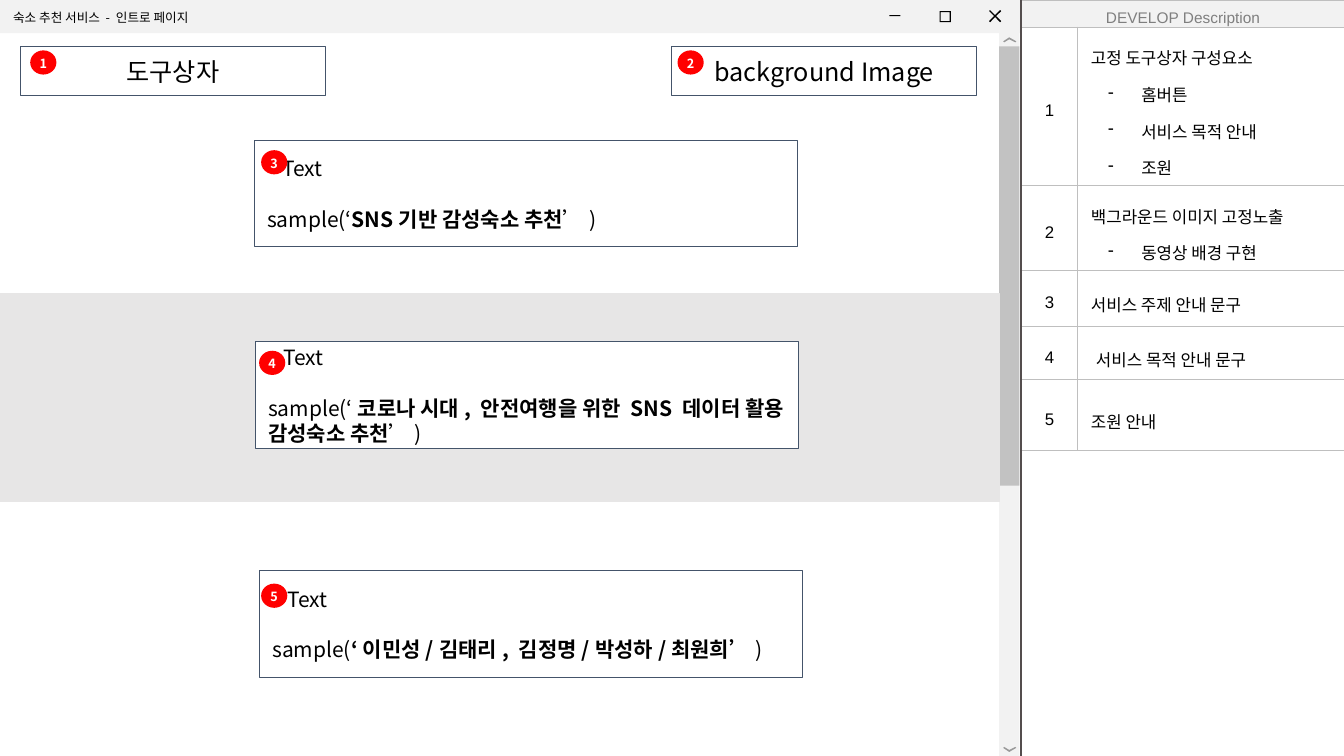
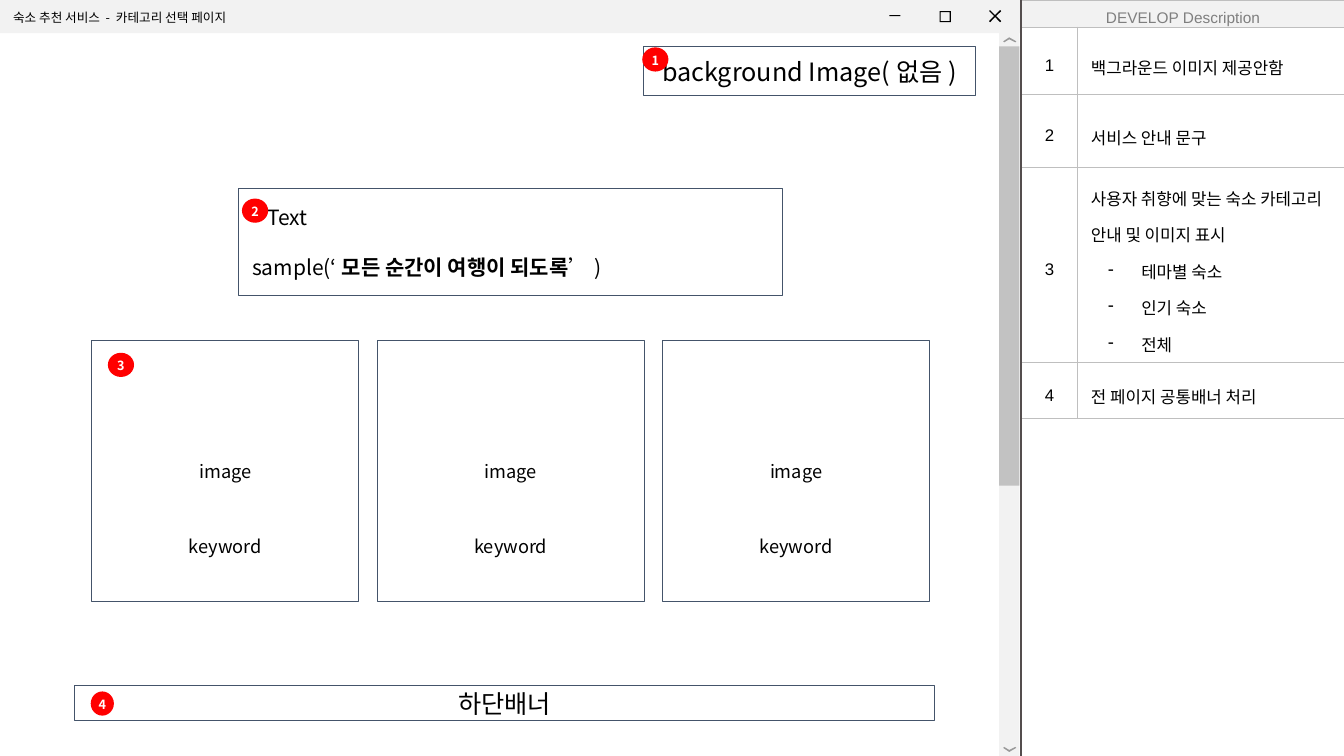
from pptx import Presentation
from pptx import util as u
from pptx.dml.color import RGBColor
from pptx.enum import shapes, text
from pptx.oxml.ns import qn
from lxml import etree

KOREAN = "Noto Sans CJK KR"
LATIN = "Arial"
BLACK, WHITE, RED, NAVY = "000000", "FFFFFF", "FF0000", "44546A"
PALE, BAND, RULE, THUMB = "F2F2F2", "E7E6E6", "BFBFBF", "C2C2C2"
ARROW, DIVIDER, MUTED = "999999", "544E4E", "7F7F7F"
PLAIN_TABLE = "{2D5ABB26-0587-4C30-8999-92F81FD0307C}"
CENTER, LEFT = text.PP_ALIGN.CENTER, text.PP_ALIGN.LEFT
RECT, OVAL = shapes.MSO_SHAPE.RECTANGLE, shapes.MSO_SHAPE.OVAL
WINDOW_WIDTH = 10.13
BOX_INSETS = (0.13,) * 4

MAXIMIZE = [
    [(9.32, 0.11), (9.32, 0.22), (9.43, 0.22), (9.43, 0.11)],
    [(9.33, 0.12), (9.42, 0.12), (9.42, 0.21), (9.33, 0.21)],
]
CLOSE = [[(9.82, 0.1), (9.81, 0.11), (9.86, 0.16), (9.81, 0.21),
          (9.82, 0.22), (9.87, 0.17), (9.92, 0.22), (9.93, 0.21),
          (9.88, 0.16), (9.93, 0.11), (9.92, 0.1), (9.87, 0.15)]]
CHEVRON_UP = [[(9.95, 0.41), (10.01, 0.37), (10.08, 0.41),
               (10.07, 0.42), (10.01, 0.39), (9.96, 0.42)]]
CHEVRON_DOWN = [[(x, 7.83 - y) for x, y in CHEVRON_UP[0]]]


def color(value):
    return RGBColor.from_string(value)


class Wireframe:
    def __init__(self):
        self.deck = Presentation()
        self.deck.slide_width = u.Inches(13.33)
        self.deck.slide_height = u.Inches(7.5)
        self.page = None

    def paint(self, shape, fill, line=None):
        shape.shadow.inherit = False
        shape.fill.solid()
        shape.fill.fore_color.rgb = color(fill)
        if line:
            shape.line.color.rgb = color(line)
            shape.line.width = u.Pt(0.75)
        else:
            shape.line.fill.background()

    def add_span(self, para, words, size, ink=BLACK, bold=False, font=KOREAN):
        span = para.add_run()
        span.text = words
        span.font.size = u.Pt(size)
        span.font.bold = bold
        span.font.color.rgb = color(ink)
        span.font.name = font
        east = etree.SubElement(span.font._element, qn("a:ea"))
        east.set("typeface", KOREAN)

    def indent(self, para, first, margin=0):
        props = para._p.get_or_add_pPr()
        props.set("marL", str(u.Inches(margin)))
        props.set("indent", str(u.Inches(first)))
        return props

    def frame(self, shape, insets=BOX_INSETS, align=CENTER, wrap=True):
        box = shape.text_frame
        box.word_wrap = wrap
        box.vertical_anchor = text.MSO_ANCHOR.MIDDLE
        (box.margin_left, box.margin_top,
         box.margin_right, box.margin_bottom) = map(u.Inches, insets)
        box.paragraphs[0].alignment = align
        return box

    def shape(self, at, fill=WHITE, line=None, kind=RECT):
        shape = self.page.shapes.add_shape(kind, *map(u.Inches, at))
        self.paint(shape, fill, line)
        return shape

    def outline(self, contours, fill):
        points = [[(u.Inches(x), u.Inches(y)) for x, y in contour]
                  for contour in contours]
        builder = self.page.shapes.build_freeform(*points[0][0], scale=1.0)
        builder.add_line_segments(points[0][1:], close=True)
        for contour in points[1:]:
            builder.move_to(*contour[0])
            builder.add_line_segments(contour[1:], close=True)
        self.paint(builder.convert_to_shape(), fill)

    def label_box(self, at, words, size=18):
        box = self.frame(self.shape(at, line=NAVY))
        self.add_span(box.paragraphs[0], words, size)

    def label(self, at, words, size):
        area = self.page.shapes.add_textbox(*map(u.Inches, at))
        self.add_span(self.frame(area).paragraphs[0], words, size)

    def sample_box(self, left, top, opening, phrase, ending):
        shape = self.shape((left, top, 5.39, 1.06), line=NAVY)
        box = self.frame(shape, align=LEFT)
        heading, sample = box.paragraphs[0], box.add_paragraph()
        sample.alignment = LEFT
        self.indent(heading, 0.15)
        heading.line_spacing = sample.line_spacing = u.Pt(18)
        sample.space_before = u.Pt(18)
        self.add_span(heading, "Text", 15)
        self.add_span(sample, opening, 15)
        self.add_span(sample, phrase, 15, bold=True)
        self.add_span(sample, ending, 15)

    def badges(self, places, width=0.26):
        for number, (left, top) in places.items():
            shape = self.shape((left, top, width, 0.24), RED, kind=OVAL)
            box = self.frame(shape, (0, 0.02, 0, 0), wrap=False)
            self.add_span(box.paragraphs[0], str(number), 9, WHITE, True)

    def border(self, cell, sides):
        props = cell._tc.get_or_add_tcPr()
        for side in sides:
            line = etree.SubElement(props, qn("a:ln" + side), w=str(u.Pt(0.75)))
            fill = etree.SubElement(line, qn("a:solidFill"))
            etree.SubElement(fill, qn("a:srgbClr"), val=RULE)

    def cell(self, cell, lines, sides, align=LEFT, margin=0.06,
             size=12, ink=BLACK):
        self.border(cell, sides)
        cell.fill.background()
        cell.vertical_anchor = text.MSO_ANCHOR.MIDDLE
        cell.margin_left = cell.margin_right = u.Inches(0.13)
        cell.margin_top = cell.margin_bottom = u.Inches(margin)
        box = cell.text_frame
        for index, words in enumerate(lines):
            para = box.add_paragraph() if index else box.paragraphs[0]
            para.alignment = align
            para.line_spacing = 1.5
            if index:
                props = self.indent(para, -0.33, 0.5)
                tint = etree.SubElement(props, qn("a:buClr"))
                etree.SubElement(tint, qn("a:srgbClr"), val=BLACK)
                etree.SubElement(props, qn("a:buChar"), char="-")
            self.add_span(para, words, size, ink, font=LATIN)

    def description(self, rows):
        widths, header_height = (0.56, 2.65), 0.27
        heights = [header_height] + [height for height, _ in rows]
        area = (WINDOW_WIDTH, 0, sum(widths), sum(heights))
        table = self.page.shapes.add_table(
            len(heights), 2, *map(u.Inches, area)).table
        table.first_row = table.horz_banding = False
        table._tbl.tblPr.find(qn("a:tableStyleId")).text = PLAIN_TABLE
        for column, width in zip(table.columns, widths):
            column.width = u.Inches(width)
        for row, height in zip(table.rows, heights):
            row.height = u.Inches(height)
        header = table.cell(0, 0)
        header.merge(table.cell(0, 1))
        self.cell(header, ["DEVELOP Description"], "TB", CENTER, 0, 11, MUTED)
        header.fill.solid()
        header.fill.fore_color.rgb = color(PALE)
        for number, (_, lines) in enumerate(rows, 1):
            self.cell(table.cell(number, 0), [str(number)], "TB", CENTER)
            self.cell(table.cell(number, 1), lines, "LTB")
        return table

    def divider(self):
        x = u.Inches(WINDOW_WIDTH)
        line = self.page.shapes.add_connector(
            shapes.MSO_CONNECTOR.STRAIGHT, x, 0, x, self.deck.slide_height)
        line.line.color.rgb = color(DIVIDER)
        line.line.width = u.Pt(1.5)
        etree.SubElement(line._element.spPr, qn("a:effectLst"))

    def window(self, title, rows):
        self.page = self.deck.slides.add_slide(self.deck.slide_layouts[6])
        table = self.description(rows)
        bar = self.shape((0, 0, 10.12, 0.33), PALE)
        box = self.frame(bar, (0.13, 0.08, 0.13, 0.06), LEFT)
        self.add_span(box.paragraphs[0], "숙소 추천 서비스 - " + title, 9)
        self.shape((8.82, 0.15, 0.11, 0.01), BLACK)
        self.outline(MAXIMIZE, BLACK)
        self.outline(CLOSE, BLACK)
        self.shape((9.91, 0.33, 0.2, 7.17), PALE)
        self.shape((9.91, 0.46, 0.2, 4.36), THUMB)
        self.outline(CHEVRON_UP, ARROW)
        self.outline(CHEVRON_DOWN, ARROW)
        self.divider()
        return table


def intro_page(wireframe):
    table = wireframe.window("인트로 페이지", [
        (1.57, ["고정 도구상자 구성요소", "홈버튼", "서비스 목적 안내", "조원"]),
        (0.84, ["백그라운드 이미지 고정노출", "동영상 배경 구현"]),
        (0.55, ["서비스 주제 안내 문구"]),
        (0.53, ["서비스 목적 안내 문구"]),
        (0.7, ["조원 안내"]),
    ])
    wireframe.indent(table.cell(4, 1).text_frame.paragraphs[0], -0.17, 0.22)
    wireframe.label_box((0.2, 0.46, 3.03, 0.49), "도구상자")
    wireframe.label_box((6.66, 0.46, 3.03, 0.49), "background Image")
    wireframe.shape((0, 2.91, 9.91, 2.07), BAND, BAND)
    wireframe.sample_box(2.52, 1.39, "sample(‘", "SNS기반 감성숙소 추천", "’)")
    wireframe.sample_box(
        2.53, 3.39, "sample(‘",
        "코로나 시대, 안전여행을 위한 SNS 데이터 활용 감성숙소 추천", "’)")
    wireframe.sample_box(
        2.57, 5.66, "sample(", "‘이민성/김태리, 김정명/박성하/최원희’", ")")
    wireframe.badges({1: (0.3, 0.5), 2: (6.72, 0.5), 3: (2.59, 1.49),
                      4: (2.57, 3.48), 5: (2.59, 5.79)})


def category_page(wireframe):
    wireframe.window("카테고리 선택 페이지", [
        (0.67, ["백그라운드 이미지 제공안함"]),
        (0.72, ["서비스 안내 문구"]),
        (1.94, ["사용자 취향에 맞는 숙소 카테고리 안내 및 이미지 표시",
                "테마별 숙소", "인기 숙소", "전체"]),
        (0.55, ["전 페이지 공통배너 처리"]),
    ])
    wireframe.label_box((6.38, 0.46, 3.3, 0.49), "background Image(없음)")
    wireframe.sample_box(
        2.37, 1.87, "sample(‘", "모든 순간이 여행이 되도록", "’)")
    card_width, gap = 2.65, 0.18
    for column in range(3):
        left = 0.91 + column * (card_width + gap)
        wireframe.label_box((left, 3.38, card_width, 2.59), "image", 13)
        wireframe.label((left, 4.98, card_width, 0.87), "keyword", 13)
    wireframe.label_box((0.74, 6.8, 8.53, 0.35), "하단배너")
    wireframe.badges({1: (6.37, 0.47), 2: (2.4, 1.97), 3: (1.07, 3.5)})
    wireframe.badges({4: (0.9, 6.86)}, 0.23)


def main():
    wireframe = Wireframe()
    intro_page(wireframe)
    category_page(wireframe)
    wireframe.deck.save("out.pptx")


if __name__ == "__main__":
    main()
